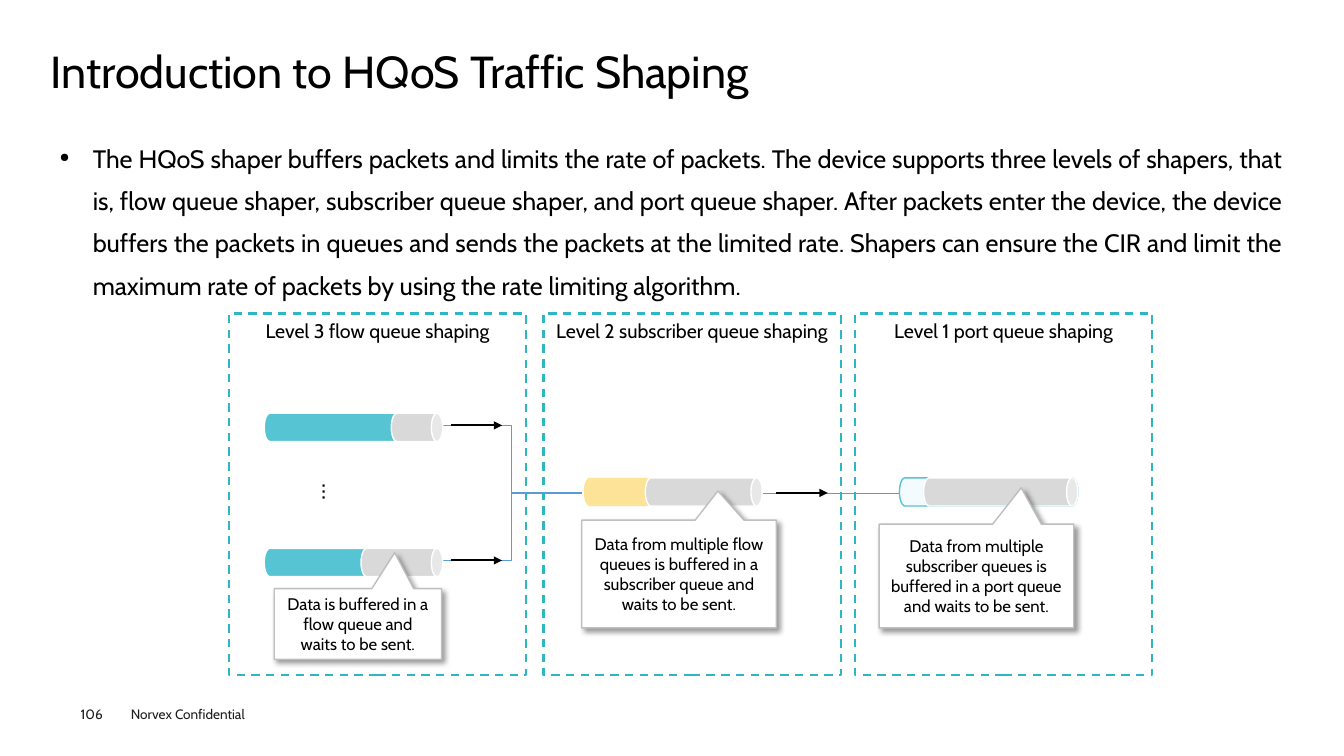
import pptx
import pptx.util
import pptx.dml.color
import pptx.enum.dml
import pptx.enum.shapes
import pptx.enum.text
import pptx.oxml
import pptx.oxml.ns
from dataclasses import dataclass
from lxml import etree

Inches = pptx.util.Inches
Pt = pptx.util.Pt
MSO_SHAPE = pptx.enum.shapes.MSO_SHAPE
MSO_CONNECTOR = pptx.enum.shapes.MSO_CONNECTOR
ANCHOR = pptx.enum.text.MSO_ANCHOR
ALIGN = pptx.enum.text.PP_ALIGN
qn = pptx.oxml.ns.qn


@dataclass(frozen=True)
class Theme:
    font: str = "Cabin"
    text: str = "000000"
    footer: str = "1D1D1B"
    white: str = "FFFFFF"
    panel: str = "30B5C5"
    wire: str = "5B9BD5"
    flow: str = "56C4D2"
    subscriber: str = "FDE397"
    port: str = "F4FBFE"
    queued: str = "D9D9D9"
    callout: str = "BFBFBF"
    title_size: float = 32
    body_size: float = 18
    panel_size: float = 14
    note_size: float = 12
    footer_size: float = 9.7


def rgb(value):
    return pptx.dml.color.RGBColor.from_string(value)


def box(*lengths):
    return [Inches(v) for v in lengths]


class SlideBuilder:
    def __init__(self, prs, theme):
        self.theme = theme
        self.slide = prs.slides.add_slide(prs.slide_layouts[5])
        self.shapes = self.slide.shapes

    def set_text(self, sp, text, size, color=None, frame=None, para=None, bullet=None):
        tf = sp.text_frame
        for name, value in {"word_wrap": True, **(frame or {})}.items():
            setattr(tf, name, value)
        p = tf.paragraphs[0]
        for name, value in {"alignment": ALIGN.LEFT, **(para or {})}.items():
            setattr(p, name, value)
        if bullet:
            pPr = p._p.get_or_add_pPr()
            pPr.set("marL", str(Inches(0.33)))
            pPr.set("indent", str(-Inches(0.33)))
            etree.SubElement(pPr, qn("a:buSzPct"), val="50000")
            etree.SubElement(pPr, qn("a:buChar"), char=bullet)
        r = p.add_run()
        r.text = text
        for name, value in {"name": self.theme.font, "size": Pt(size)}.items():
            setattr(r.font, name, value)
        r.font.color.rgb = rgb(color or self.theme.text)
        return tf

    def title(self, text, at):
        sp = self.shapes.title
        for name, value in zip(("left", "top", "width", "height"), box(*at)):
            setattr(sp, name, value)
        frame = dict.fromkeys(("margin_left", "margin_top", "margin_right", "margin_bottom"), 0)
        frame["vertical_anchor"] = ANCHOR.TOP
        frame["auto_size"] = pptx.enum.text.MSO_AUTO_SIZE.NONE
        self.set_text(sp, text, self.theme.title_size, frame=frame, para={"line_spacing": 0.9})

    def text(self, text, at, size, **style):
        return self.set_text(self.shapes.add_textbox(*box(*at)), text, size, **style)

    def shape(self, kind, at, fill=None, line=None, width=1):
        sp = self.shapes.add_shape(kind, *box(*at))
        sp.shadow.inherit = False
        if fill:
            sp.fill.solid()
            sp.fill.fore_color.rgb = rgb(fill)
        else:
            sp.fill.background()
        if line:
            sp.line.color.rgb = rgb(line)
            sp.line.width = Pt(width)
        else:
            sp.line.fill.background()
        return sp

    def panel(self, text, left):
        sp = self.shape(MSO_SHAPE.RECTANGLE, (left, 3.11, 2.95, 3.59), line=self.theme.panel, width=1.5)
        sp.line.dash_style = pptx.enum.dml.MSO_LINE.DASH
        self.set_text(sp, text, self.theme.panel_size,
                      frame={"vertical_anchor": ANCHOR.TOP}, para={"alignment": ALIGN.CENTER})

    def can(self, right, middle, length, fill, line):
        thick = 0.28
        at = (right - (length + thick) / 2, middle - length / 2, thick, length)
        sp = self.shape(MSO_SHAPE.CAN, at, fill, line)
        sp.adjustments[0] = 0.4
        sp.rotation = 90

    def queue(self, right, middle, queued, fill, line=None):
        self.can(right, middle, 1.77, fill, line)
        self.can(right, middle, queued, self.theme.queued, self.theme.white)

    def callout(self, text, at, tip):
        sp = self.shape(MSO_SHAPE.RECTANGULAR_CALLOUT, at, self.theme.white, self.theme.callout)
        sp.adjustments[0], sp.adjustments[1] = tip
        effects = sp._element.spPr.find(qn("a:effectLst"))
        shadow = etree.SubElement(effects, qn("a:outerShdw"), blurRad=str(Pt(4)), dist=str(Pt(3)),
                                  dir="2700000", algn="tl", rotWithShape="0")
        color = etree.SubElement(shadow, qn("a:srgbClr"), val=self.theme.text)
        etree.SubElement(color, qn("a:alpha"), val="40000")
        self.set_text(sp, text, self.theme.note_size,
                      frame={"vertical_anchor": ANCHOR.MIDDLE}, para={"alignment": ALIGN.CENTER})

    def connector(self, start, end, color, width, kind=MSO_CONNECTOR.STRAIGHT, arrow=False):
        cx = self.shapes.add_connector(kind, *box(*start, *end))
        cx.line.color.rgb = rgb(color)
        cx.line.width = Pt(width)
        if arrow:
            ln = cx._element.spPr.find(qn("a:ln"))
            etree.SubElement(ln, qn("a:tailEnd"), type="triangle")
        etree.SubElement(cx._element.spPr, qn("a:effectLst"))


def main():
    prs = pptx.Presentation()
    prs.slide_width, prs.slide_height = box(13.33, 7.5)
    t = Theme()
    s = SlideBuilder(prs, t)

    s.title("Introduction to HQoS Traffic Shaping", (0.5, 0.49, 12.31, 0.53))
    s.text("The HQoS shaper buffers packets and limits the rate of packets. The device supports "
           "three levels of shapers, that is, flow queue shaper, subscriber queue shaper, and port "
           "queue shaper. After packets enter the device, the device buffers the packets in queues "
           "and sends the packets at the limited rate. Shapers can ensure the CIR and limit the "
           "maximum rate of packets by using the rate limiting algorithm.",
           (0.5, 1.26, 12.31, 1.8), t.body_size, bullet="●",
           frame={"margin_left": Inches(0.09), "margin_right": Inches(0.09), "margin_top": Inches(0.04)},
           para={"alignment": ALIGN.JUSTIFY, "line_spacing": 1.4})

    for text, left in (("Level 3 flow queue shaping", 2.27),
                       ("Level 2 subscriber queue shaping", 5.39),
                       ("Level 1 port queue shaping", 8.48)):
        s.panel(text, left)

    upper, middle, lower = 4.22, 4.89, 5.56
    for y in (upper, lower):
        s.connector((4.38, y), (5.77, middle), t.wire, 0.5, MSO_CONNECTOR.ELBOW)
    s.connector((7.53, middle), (8.93, middle), t.wire, 0.5)
    for x, y in ((4.47, upper), (4.47, lower), (7.7, middle)):
        s.connector((x, y), (x + 0.51, y), t.text, 1.5, arrow=True)

    tf = s.text("…", (3, 4.7, 0.5, 0.41), t.body_size)
    tf._txBody.bodyPr.set("vert", "eaVert")

    for right, y, queued, fill, line in ((4.39, 4.24, 0.51, t.flow, t.white),
                                         (4.39, 5.58, 0.81, t.flow, t.white),
                                         (7.56, 4.88, 1.16, t.subscriber, None),
                                         (10.69, 4.88, 1.53, t.port, t.flow)):
        s.queue(right, y, queued, fill, line)

    for text, at, tip in (
            ("Data is buffered in a flow queue and waits to be sent.",
             (2.72, 5.84, 1.66, 0.7), (0.22, -1.01)),
            ("Data from multiple flow queues is buffered in a subscriber queue and waits to be sent.",
             (5.77, 5.16, 1.93, 1.07), (0.2, -0.77)),
            ("Data from multiple subscriber queues is buffered in a port queue and waits to be sent.",
             (8.72, 5.2, 1.93, 1.03), (0.23, -0.85))):
        s.callout(text, at, tip)

    s.text("106", (0.8, 7, 0.55, 0.16), t.footer_size, color=t.footer,
           frame={"margin_left": 0, "margin_top": 0, "margin_right": 0, "margin_bottom": 0})
    s.text("Norvex Confidential", (1.2, 6.95, 1.6, 0.27), t.footer_size, color=t.footer)

    prs.save("out.pptx")


if __name__ == "__main__":
    main()
